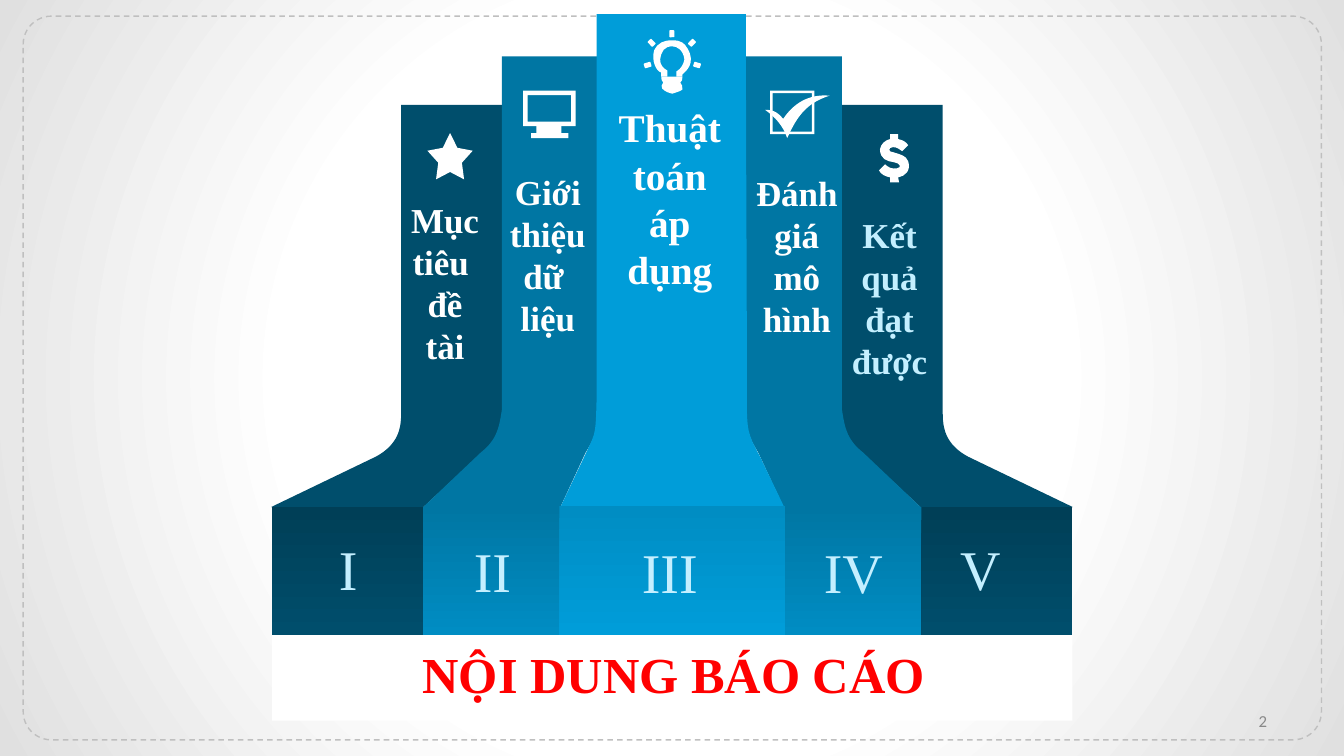
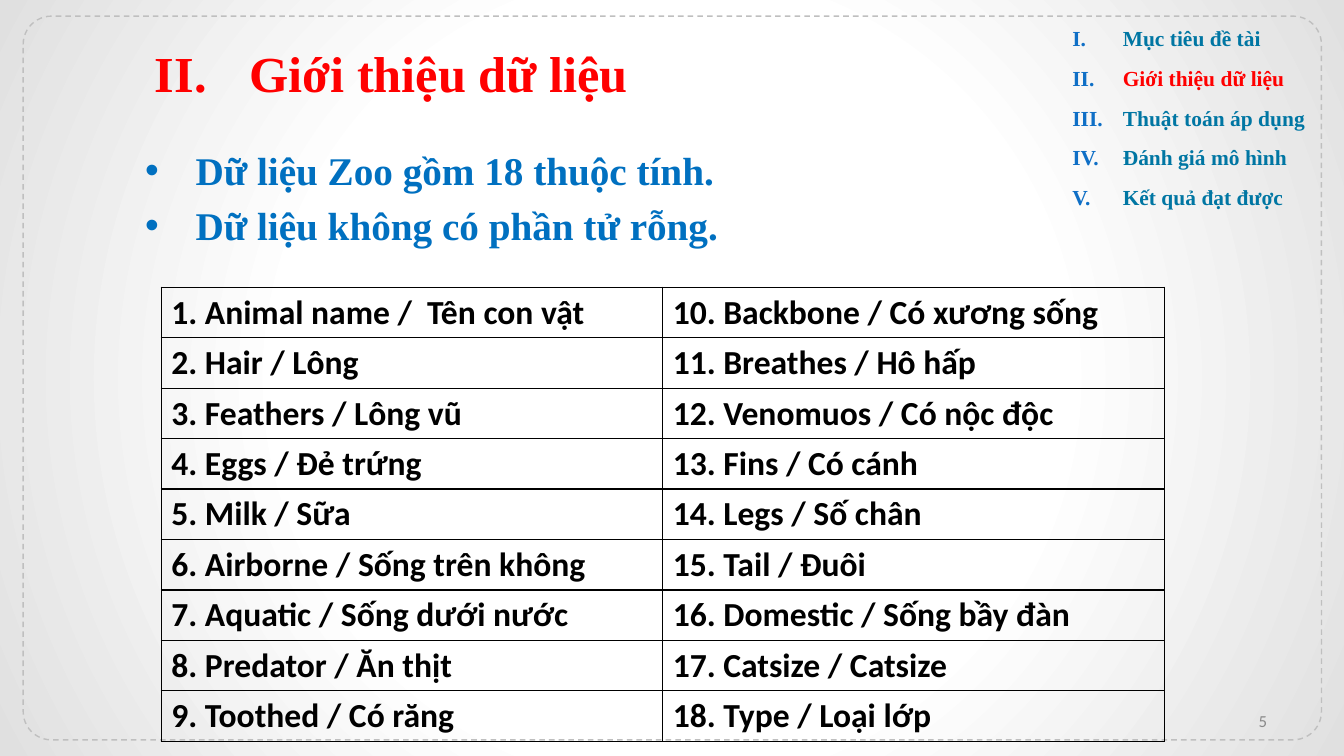
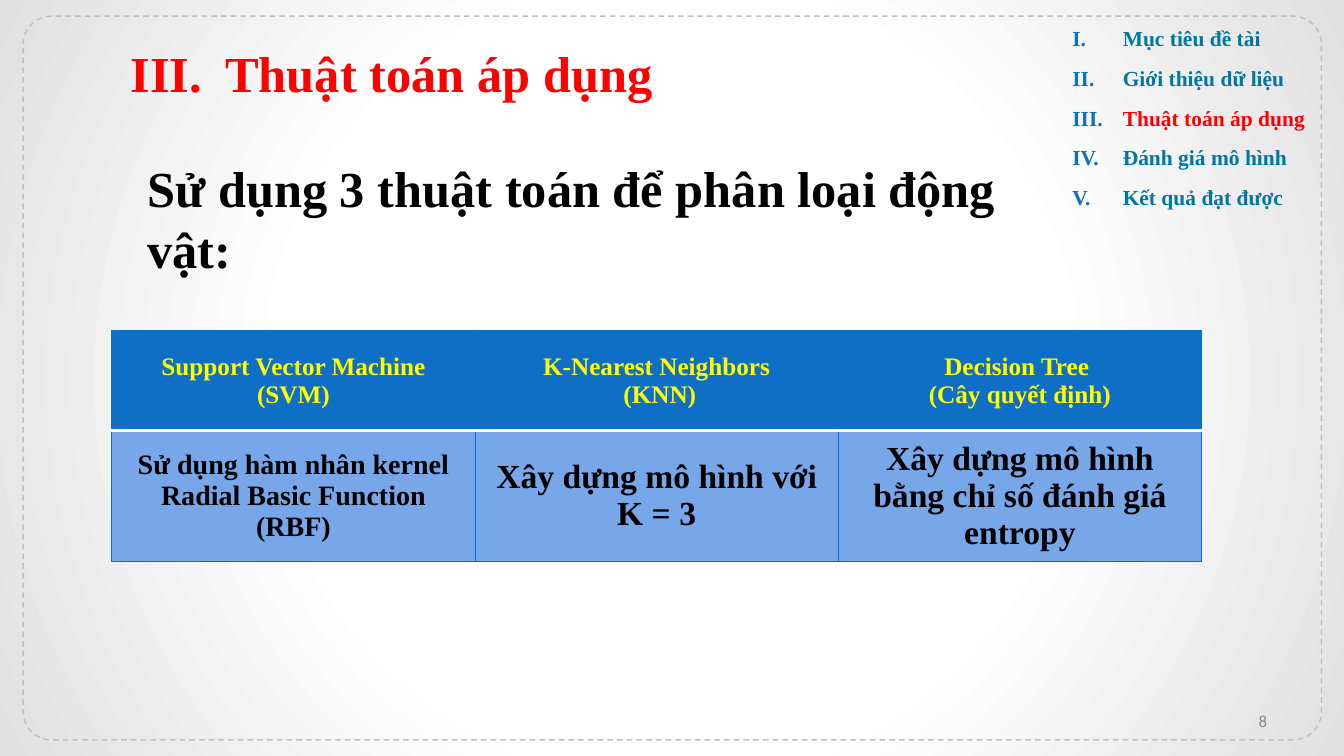
import lxml.etree
import pptx
import pptx.dml.color
import pptx.enum.dml
import pptx.enum.shapes
import pptx.enum.text
import pptx.oxml
import pptx.oxml.ns
import pptx.util

Inches = pptx.util.Inches
Pt = pptx.util.Pt
qn = pptx.oxml.ns.qn
rgb = pptx.dml.color.RGBColor.from_string
SHAPE = pptx.enum.shapes.MSO_SHAPE
ALIGN = pptx.enum.text.PP_ALIGN
MIDDLE = pptx.enum.text.MSO_ANCHOR.MIDDLE

NAVY, TEAL, SKY, PALE = "004E6C", "0076A3", "009DD9", "C4EFFF"
WHITE, BLACK, RED, BLUE = "FFFFFF", "000000", "FF0000", "0F6FC6"
SERIF = "Times New Roman"
WIDTH = 40 / 3
SECTIONS = ["Mục tiêu đề tài", "Giới thiệu dữ liệu", "Thuật toán áp dụng",
            "Đánh giá mô hình", "Kết quả đạt được"]


def paint(sp, *colors):
    sp.shadow.inherit = False
    sp.line.fill.background()
    if len(colors) == 1:
        sp.fill.solid()
        sp.fill.fore_color.rgb = rgb(colors[0])
    else:
        sp.fill.gradient()
        sp.fill.gradient_angle = 270
        for stop, color in zip(sp.fill.gradient_stops, colors):
            stop.color.rgb = rgb(color)


def write(tf, lines, size, color, align=ALIGN.LEFT, bold=True, name=SERIF,
          indent=0, bullets=(), before=None):
    tf.word_wrap = True
    for i, line in enumerate(lines):
        p = tf.paragraphs[0] if i == 0 else tf.add_paragraph()
        p.alignment = align
        if before is not None:
            p.space_before = Pt(before)
        r = p.add_run()
        r.text = line
        for key, value in {"size": Pt(size), "bold": bold, "name": name}.items():
            setattr(r.font, key, value)
        r.font.color.rgb = rgb(color)
        if bullets:
            pPr = p._p.get_or_add_pPr()
            pPr.set("marL", str(Inches(indent)))
            pPr.set("indent", str(-Inches(indent)))
            for tag, attrs in bullets:
                if tag == "a:srgbClr":
                    lxml.etree.SubElement(pPr.find(qn("a:buClr")), qn(tag), attrs)
                else:
                    lxml.etree.SubElement(pPr, qn(tag), attrs)


prs = pptx.Presentation()
prs.slide_width, prs.slide_height = Inches(WIDTH), Inches(7.5)
slides = [prs.slides.add_slide(prs.slide_layouts[i]) for i in (6, 0, 0)]

master = prs.slide_master
cSld = master._element.find(qn("p:cSld"))
cSld.replace(cSld.find(qn("p:bg")), pptx.oxml.parse_xml(
    f'<p:bg {pptx.oxml.ns.nsdecls("p", "a")}><p:bgPr><a:gradFill rotWithShape="1"><a:gsLst>'
    '<a:gs pos="50000"><a:srgbClr val="FFFFFF"/></a:gs>'
    '<a:gs pos="100000"><a:srgbClr val="E0E0E0"/></a:gs></a:gsLst>'
    '<a:path path="circle"><a:fillToRect l="50000" t="50000" r="50000" b="50000"/></a:path>'
    '</a:gradFill><a:effectLst/></p:bgPr></p:bg>'))
sp = slides[0].shapes.add_shape(SHAPE.ROUNDED_RECTANGLE, Inches(0.23), Inches(0.16),
                                Inches(12.88), Inches(7.18))
sp.adjustments[0] = 0.039
sp.shadow.inherit = False
sp.fill.background()
sp.line.color.rgb = rgb("BFBFBF")
sp.line.width = Pt(1)
sp.line.dash_style = pptx.enum.dml.MSO_LINE.DASH
master.shapes._spTree.insert(2, sp._element)

for s, number in zip(slides, "258"):
    tf = s.shapes.add_textbox(Inches(9.56), Inches(6.95), Inches(3.11), Inches(0.4)).text_frame
    tf.vertical_anchor = MIDDLE
    write(tf, [number], 12, "898989", ALIGN.RIGHT, False, "Calibri")

s = slides[0]
outer = [(3.98, 1.04), (3.98, 4.11), (3.98, 4.25, 3.95, 4.41, 3.73, 4.53), (2.69, 5.03),
         (4.2, 5.03), (4.74, 4.53), (4.96, 4.33, 4.97, 4.28, 4.99, 3.97), (4.99, 1.04)]
inner = [(4.98, 0.56), (4.98, 4.06), (4.95, 4.27, 4.92, 4.37, 4.77, 4.49), (4.2, 5.03),
         (5.56, 5.03), (5.81, 4.49), (5.91, 4.32, 5.93, 4.29, 5.93, 3.96), (5.93, 0.56)]
middle = [(5.92, 0.14), (7.4, 0.14), (7.4, 1.44, 7.41, 2.74, 7.41, 4.04),
          (7.41, 4.32, 7.45, 4.35, 7.55, 4.55), (7.78, 5.03), (5.56, 5.03), (5.83, 4.46),
          (5.91, 4.29, 5.91, 4.3, 5.92, 3.92)]
bulb = [(6.56, 0.76), (6.56, 0.75, 6.56, 0.74, 6.56, 0.72), (6.51, 0.71, 6.46, 0.6, 6.49, 0.5),
        (6.53, 0.42, 6.59, 0.4, 6.67, 0.4), (6.76, 0.4, 6.79, 0.43, 6.82, 0.48),
        (6.91, 0.63, 6.8, 0.71, 6.77, 0.74), (6.77, 0.76), (6.71, 0.76), (6.71, 0.71),
        (6.76, 0.68, 6.78, 0.64, 6.79, 0.59), (6.78, 0.5, 6.72, 0.46, 6.67, 0.46),
        (6.59, 0.46, 6.56, 0.51, 6.55, 0.59), (6.55, 0.66, 6.59, 0.68, 6.62, 0.7), (6.62, 0.76)]
socket = [(6.56, 0.76), (6.77, 0.76), (6.78, 0.79, 6.76, 0.8, 6.75, 0.82),
          (6.76, 0.84, 6.78, 0.86, 6.77, 0.89), (6.74, 0.91, 6.7, 0.92, 6.67, 0.93),
          (6.63, 0.92, 6.6, 0.91, 6.57, 0.88), (6.56, 0.86, 6.56, 0.84, 6.58, 0.82),
          (6.57, 0.8, 6.56, 0.8, 6.56, 0.76)]
tick = [(7.77, 1.18), (7.73, 1.13, 7.69, 1.09, 7.59, 1.09), (7.69, 1.16, 7.77, 1.25, 7.81, 1.37),
        (7.89, 1.2, 7.97, 1.03, 8.23, 0.95), (8.02, 0.93, 7.87, 1.03, 7.77, 1.18)]
dollar = [(9.01, 1.44), (8.95, 1.5), (8.92, 1.48, 8.9, 1.46, 8.86, 1.46),
          (8.81, 1.46, 8.81, 1.51, 8.86, 1.51), (8.92, 1.53, 8.99, 1.54, 9.01, 1.6),
          (9.04, 1.69, 8.98, 1.75, 8.91, 1.76), (8.92, 1.78, 8.92, 1.79, 8.92, 1.81),
          (8.83, 1.81), (8.83, 1.76), (8.78, 1.75, 8.74, 1.73, 8.72, 1.69), (8.78, 1.63),
          (8.81, 1.66, 8.85, 1.68, 8.9, 1.67), (8.95, 1.66, 8.93, 1.62, 8.87, 1.61),
          (8.8, 1.6, 8.73, 1.58, 8.73, 1.48), (8.74, 1.43, 8.78, 1.39, 8.83, 1.38),
          (8.83, 1.33), (8.91, 1.33), (8.91, 1.38), (8.96, 1.39, 8.99, 1.41, 9.01, 1.44)]
base_2 = [(4.18, 5.03), (5.56, 5.02), (5.56, 5.45, 5.55, 5.87, 5.55, 6.3), (4.18, 6.3)]
base_3 = [(5.55, 5.02), (7.8, 5.02), (7.79, 5.44, 7.79, 5.87, 7.79, 6.3), (5.55, 6.3)]
base_4 = [(7.79, 5.02), (9.16, 5.03), (9.16, 6.3), (7.79, 6.3)]
for segments, colors, mirrored in [
        (outer, [NAVY], False), (inner, [TEAL], False), (outer, [NAVY], True),
        (inner, [TEAL], True), (middle, [SKY], False), (bulb, [WHITE], False),
        (socket, [WHITE], False), (tick, [WHITE], False), (dollar, [WHITE], False),
        (base_2, [TEAL, "008DC3"], False), (base_3, ["008DC3", SKY], False),
        (base_4, [TEAL, "008DC3"], False)]:
    points = [seg[i:i + 2] for seg in segments for i in range(0, len(seg), 2)]
    emu = [(Inches(WIDTH - x if mirrored else x), Inches(y)) for x, y in points]
    fb = s.shapes.build_freeform(*emu[0])
    fb.add_line_segments(emu[1:], close=True)
    sp = fb.convert_to_shape()
    lines = iter(list(sp._element.iter(qn("a:lnTo"))))
    for seg in segments[1:]:
        ln = next(lines)
        if len(seg) == 6:
            curve = lxml.etree.Element(qn("a:cubicBezTo"))
            ln.addprevious(curve)
            for part in (ln, next(lines), next(lines)):
                curve.append(part[0])
                part.getparent().remove(part)
    paint(sp, *colors)

for kind, x, y, w, h, rotation, adj, colors in [
        (SHAPE.ROUNDED_RECTANGLE, 6.64, 0.3, 0.05, 0.07, 0, None, [WHITE]),
        (SHAPE.ROUNDED_RECTANGLE, 6.84, 0.39, 0.05, 0.07, 43.7, None, [WHITE]),
        (SHAPE.ROUNDED_RECTANGLE, 6.89, 0.61, 0.05, 0.07, 107, None, [WHITE]),
        (SHAPE.ROUNDED_RECTANGLE, 6.44, 0.39, 0.05, 0.07, 316.3, None, [WHITE]),
        (SHAPE.ROUNDED_RECTANGLE, 6.4, 0.61, 0.05, 0.07, 253, None, [WHITE]),
        (SHAPE.FRAME, 5.19, 0.9, 0.52, 0.35, 0, None, [WHITE]),
        (SHAPE.RECTANGLE, 5.32, 1.25, 0.25, 0.08, 0, None, [WHITE]),
        (SHAPE.RECTANGLE, 5.27, 1.32, 0.37, 0.05, 0, None, [WHITE]),
        (SHAPE.FRAME, 7.64, 0.9, 0.44, 0.43, 0, 0.056, [WHITE]),
        (SHAPE.STAR_5_POINT, 4.24, 1.32, 0.45, 0.46, 0, 0.261, [WHITE]),
        (SHAPE.RECTANGLE, 2.7, 5.03, 1.5, 1.27, 0, None, ["003F57", NAVY]),
        (SHAPE.RECTANGLE, 9.14, 5.03, 1.5, 1.27, 0, None, ["003F57", NAVY]),
        (SHAPE.RECTANGLE, 2.7, 6.3, 7.94, 0.85, 0, None, [WHITE])]:
    sp = s.shapes.add_shape(kind, Inches(x), Inches(y), Inches(w), Inches(h))
    sp.rotation = rotation
    if adj is not None:
        sp.adjustments[0] = adj
    paint(sp, *colors)

for x, y, w, h, lines, size, color, bold in [
        (6.02, 0.98, 1.25, 1.99, ["Thuật", "toán", "áp", "dụng"], 28, WHITE, True),
        (7.28, 1.65, 1.25, 1.78, ["Đánh", "giá", "mô", "hình"], 25, WHITE, True),
        (8.2, 2.07, 1.25, 1.78, ["Kết", "quả", "đạt", "được"], 25, PALE, True),
        (3.79, 1.92, 1.25, 1.78, ["Mục tiêu ", "đề", "tài"], 25, WHITE, True),
        (4.81, 1.64, 1.25, 1.78, ["Giới thiệu dữ ", "liệu"], 25, WHITE, True),
        (2.83, 5.25, 1.25, 0.77, ["I"], 40, PALE, False),
        (4.26, 5.27, 1.25, 0.77, ["II"], 40, PALE, False),
        (6.02, 5.28, 1.25, 0.77, ["III"], 40, PALE, False),
        (7.84, 5.28, 1.25, 0.77, ["IV"], 40, PALE, False),
        (9.1, 5.25, 1.25, 0.77, ["V"], 40, PALE, False),
        (3.89, 6.33, 5.59, 0.71, ["NỘI DUNG BÁO CÁO"], 36, RED, True)]:
    tf = s.shapes.add_textbox(Inches(x), Inches(y), Inches(w), Inches(h)).text_frame
    write(tf, lines, size, color, ALIGN.CENTER, bold)

dots = [("a:buFont", {"typeface": "Arial"}), ("a:buChar", {"char": "•"})]
bodies = [((1.34, 1.4, 7.95, 1.17), 28, "0070C0", dots,
           ["Dữ liệu Zoo gồm 18 thuộc tính.", "Dữ liệu không có phần tử rỗng."]),
          ((1.36, 1.51, 8.74, 1.47), 36, BLACK, [],
           ["Sử dụng 3 thuật toán để phân loại động vật:"])]
for current, (s, (box, size, color, bullets, lines)) in enumerate(zip(slides[1:], bodies), 1):
    title, body = s.placeholders
    for ph, at in ((title, (0.62, 0.34, 6.53, 0.75)), (body, box)):
        ph.left, ph.top, ph.width, ph.height = [Inches(v) for v in at]
        ph.text_frame.auto_size = pptx.enum.text.MSO_AUTO_SIZE.NONE
    title.text_frame.vertical_anchor = MIDDLE
    write(title.text_frame, [SECTIONS[current]], 36, RED, ALIGN.CENTER, indent=0.94,
          bullets=[("a:buFont", {"typeface": "+mj-lt"}),
                   ("a:buAutoNum", {"type": "romanUcPeriod", "startAt": str(current + 1)})])
    write(body.text_frame, lines, size, color, indent=0.5, bullets=bullets)
    tf = s.shapes.add_textbox(Inches(10.54), Inches(0.2), Inches(2.59), Inches(1.78)).text_frame
    write(tf, SECTIONS, 15.3, TEAL, indent=0.5, before=10,
          bullets=[("a:buClr", {}), ("a:srgbClr", {"val": BLUE}),
                   ("a:buFont", {"typeface": "+mj-lt"}),
                   ("a:buAutoNum", {"type": "romanUcPeriod"})])
    tf.paragraphs[current].runs[0].font.color.rgb = rgb(RED)

attributes = ["Animal name /  Tên con vật", "Hair / Lông", "Feathers / Lông vũ",
              "Eggs / Đẻ trứng", "Milk / Sữa", "Airborne / Sống trên không",
              "Aquatic / Sống dưới nước", "Predator / Ăn thịt", "Toothed / Có răng",
              "Backbone / Có xương sống", "Breathes / Hô hấp", "Venomuos / Có nộc độc",
              "Fins / Có cánh", "Legs / Số chân", "Tail / Đuôi", "Domestic / Sống bầy đàn",
              "Catsize / Catsize", "Type / Loại lớp"]
numbered = [[f"{i}. {text}"] for i, text in enumerate(attributes, 1)]
algorithms = [[["Support Vector Machine (SVM)"], ["K-Nearest Neighbors", " (KNN)"],
               ["Decision Tree ", "(Cây quyết định)"]],
              [["Sử dụng hàm nhân kernel Radial Basic Function (RBF)"],
               ["Xây dựng mô hình với K = 3"],
               ["Xây dựng mô hình bằng chỉ số đánh giá entropy"]]]
plain = {"size": 24, "color": BLACK, "name": "Calibri"}
header = {"size": 18, "color": "FFFF00", "align": ALIGN.CENTER}
detail = {"size": 24, "color": BLACK, "align": ALIGN.CENTER}
edge = ("0A6DC6", 0.75)
grid = dict.fromkeys(["L", "R", "T", "B"], (BLACK, 1))
head_edges = {"L": edge, "R": edge, "T": edge, "B": (WHITE, 2)}
detail_edges = {"L": edge, "R": edge, "B": edge}
for s, x, y, width, height, row_heights, rows, styles in [
        (slides[1], 1.6, 2.85, 9.95, 4.5, [0.49] * 9, list(zip(numbered[:9], numbered[9:])),
         [(plain, None, grid)] * 9),
        (slides[2], 1.11, 3.28, 10.81, 2.29, [0.99, 1.15], algorithms,
         [(header, BLUE, head_edges), (detail, "77A7E8", detail_edges)])]:
    frame = s.shapes.add_table(len(rows), len(rows[0]), Inches(x), Inches(y),
                               Inches(width), Inches(height))
    tbl = frame.table
    tbl.first_row = tbl.horz_banding = False
    for r, (texts, row_height, (fmt, fill, edges)) in enumerate(zip(rows, row_heights, styles)):
        tbl.rows[r].height = Inches(row_height)
        for c, lines in enumerate(texts):
            cell = tbl.cell(r, c)
            tcPr = cell._tc.get_or_add_tcPr()
            for side, (color, weight) in edges.items():
                ln = lxml.etree.SubElement(tcPr, qn("a:ln" + side), {"w": str(Pt(weight))})
                solid = lxml.etree.SubElement(ln, qn("a:solidFill"))
                lxml.etree.SubElement(solid, qn("a:srgbClr"), {"val": color})
            if fill:
                cell.fill.solid()
                cell.fill.fore_color.rgb = rgb(fill)
                cell.vertical_anchor = MIDDLE
            else:
                cell.fill.background()
            write(cell.text_frame, lines, **fmt)
    frame.height = Inches(height)
tbl.cell(1, 0).text_frame.paragraphs[0].runs[0].font.size = Pt(20)

prs.save("out.pptx")
